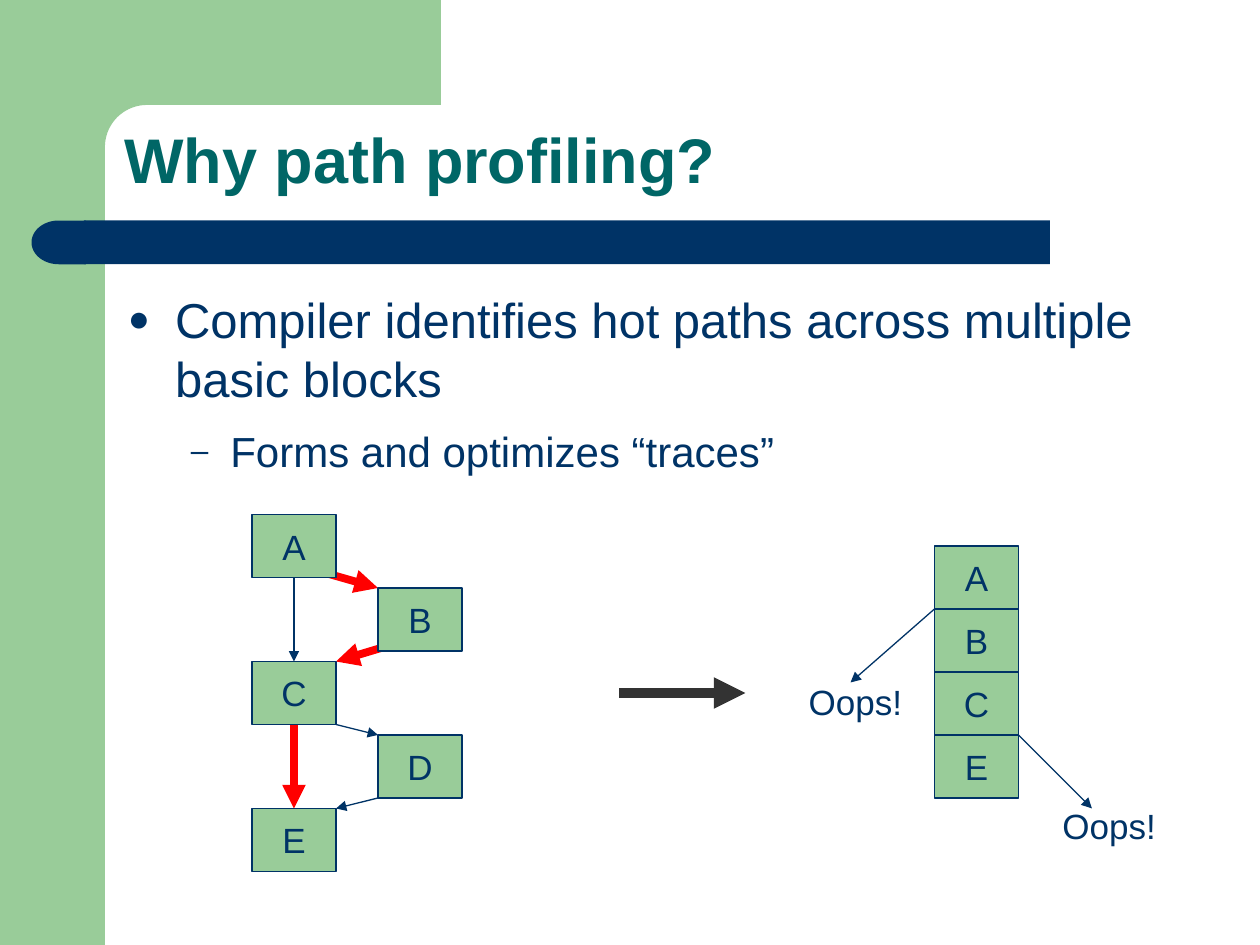
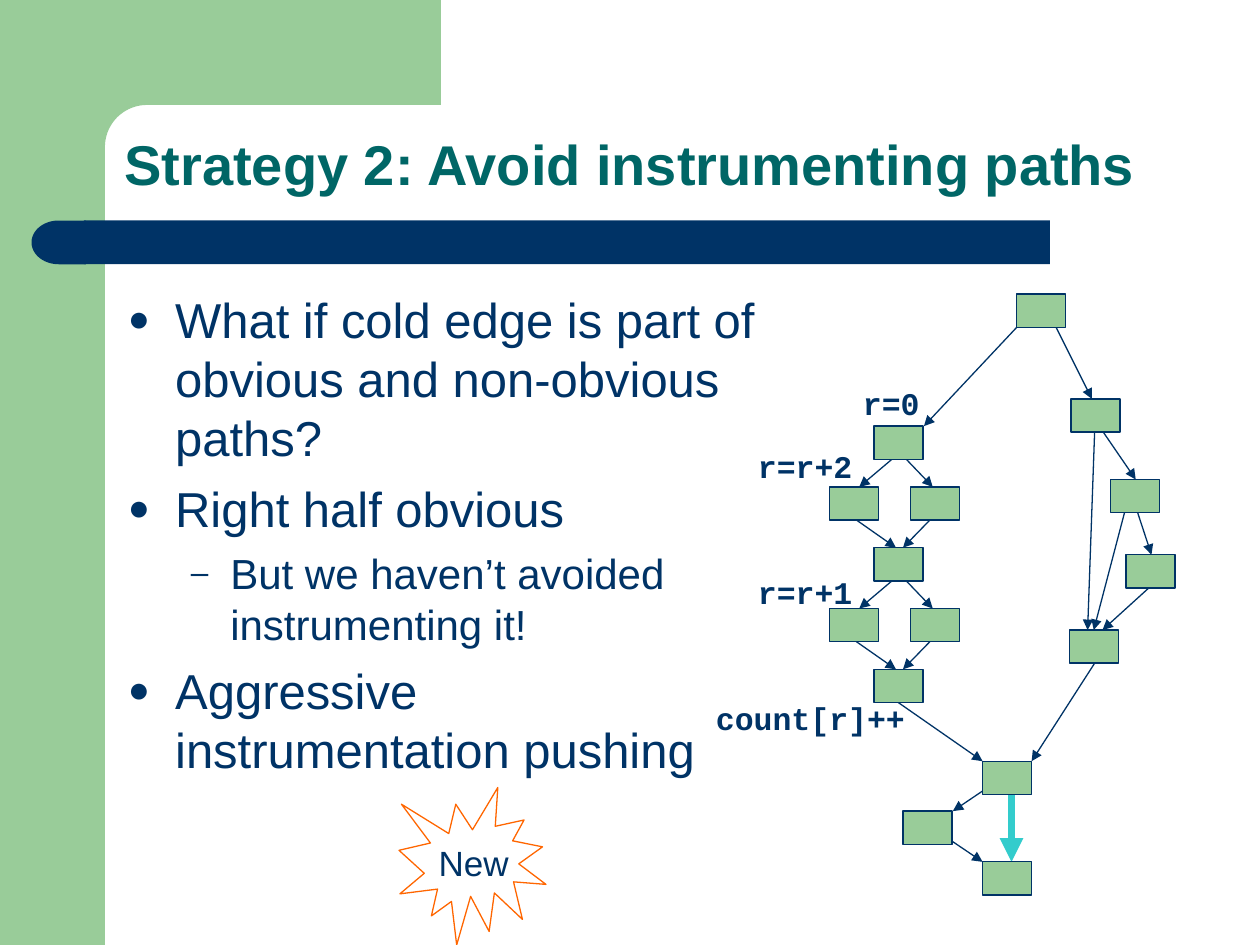
import math

from pptx import Presentation
from pptx.dml.color import RGBColor
from pptx.enum.shapes import MSO_CONNECTOR, MSO_SHAPE
from pptx.enum.text import MSO_ANCHOR, PP_ALIGN
from pptx.oxml.ns import qn
from pptx.util import Pt
from lxml import etree

RECT = MSO_SHAPE.RECTANGLE
CAP = MSO_SHAPE.FLOWCHART_DELAY
BURST = MSO_SHAPE.EXPLOSION1
STRAIGHT = MSO_CONNECTOR.STRAIGHT
TOP, MIDDLE, BOTTOM = MSO_ANCHOR.TOP, MSO_ANCHOR.MIDDLE, MSO_ANCHOR.BOTTOM
LEFT, CENTER = PP_ALIGN.LEFT, PP_ALIGN.CENTER

COLORS = {"green": "99CC99", "navy": "003366", "title": "006666", "hot": "FF0000",
          "dark": "333333", "teal": "33CCCC", "orange": "FF6600"}
SANS, MONO = "Arial", "Courier New"
# Per level: bullet, text size, left margin, hanging indent
LEVELS = [("●", 28, 27, 27), ("–", 24, 58.5, 22.5)]


def rgb(name):
    return RGBColor.from_string(COLORS[name])


class Deck:
    def __init__(self):
        self.prs = Presentation()
        self.prs.slide_width, self.prs.slide_height = Pt(720), Pt(540)
        self.slide = None

    def new_slide(self, title, size):
        self.slide = self.prs.slides.add_slide(self.prs.slide_layouts[6])
        # Green side band with a rounded inner corner
        self.shape(RECT, 0, 0, 60, 540, "green")
        arc = [(84 - 24 * math.sin(a), 84 - 24 * math.cos(a))
               for a in (math.radians(d) for d in range(0, 91, 5))]
        corner = [(252, 60), *arc, (60, 92), (36, 92), (36, 0)]
        outline = self.slide.shapes.build_freeform(Pt(252), 0)
        outline.add_line_segments([(Pt(x), Pt(y)) for x, y in corner])
        self.paint(outline.convert_to_shape(), "green")
        # Navy rule with a round left end
        self.shape(RECT, 48, 126, 552, 25, "navy")
        self.shape(CAP, 18, 126, 31, 25, "navy").rotation = 180
        # Title
        frame = self.frame(64, 64, 616.5, 52.5, BOTTOM, wrap=True)
        frame.paragraphs[0].line_spacing = 0.9
        self.run(frame.paragraphs[0], title, size, "title", bold=True)

    def paint(self, shape, fill=None, line=None):
        shape.shadow.inherit = False
        if fill:
            shape.fill.solid()
            shape.fill.fore_color.rgb = rgb(fill)
        else:
            shape.fill.background()
        if line:
            shape.line.color.rgb = rgb(line)
            shape.line.width = Pt(0.75)
        else:
            shape.line.fill.background()
        return shape

    def shape(self, kind, x, y, width, height, fill=None, line=None):
        shape = self.slide.shapes.add_shape(kind, Pt(x), Pt(y), Pt(width), Pt(height))
        return self.paint(shape, fill, line)

    def run(self, paragraph, text, size, color="navy", font=SANS, bold=False):
        run = paragraph.add_run()
        run.text = text
        run.font.size, run.font.name, run.font.bold = Pt(size), font, bold
        run.font.color.rgb = rgb(color)

    def frame(self, x, y, width, height, anchor=TOP, wrap=False):
        frame = self.slide.shapes.add_textbox(Pt(x), Pt(y), Pt(width), Pt(height)).text_frame
        frame.word_wrap, frame.vertical_anchor = wrap, anchor
        return frame

    def label(self, text, x, y, width, size=20, font=SANS, bold=False):
        paragraph = self.frame(x, y, width, 30, wrap=True).paragraphs[0]
        paragraph.alignment = LEFT
        self.run(paragraph, text, size, font=font, bold=bold)

    def block(self, x, y, width, height, name=None):
        block = self.shape(RECT, x, y, width, height, "green", "navy")
        if name:
            frame = block.text_frame
            frame.word_wrap, frame.vertical_anchor = False, MIDDLE
            frame.paragraphs[0].alignment = CENTER
            self.run(frame.paragraphs[0], name, 20)

    def arrow(self, start, end, color="navy", width=0.75):
        arrow = self.slide.shapes.add_connector(STRAIGHT, *map(Pt, (*start, *end)))
        arrow.line.color.rgb = rgb(color)
        arrow.line.width = Pt(width)
        properties = arrow.element.spPr
        etree.SubElement(properties.find(qn("a:ln")), qn("a:tailEnd"), type="triangle")
        etree.SubElement(properties, qn("a:effectLst"))

    def bullets(self, width, height, items):
        """Items are (level, space before, text); a newline breaks the line."""
        frame = self.frame(66, 162, width, height, wrap=True)
        for index, (level, before, text) in enumerate(items):
            paragraph = frame.add_paragraph() if index else frame.paragraphs[0]
            mark, size, margin, hang = LEVELS[level]
            props = paragraph._p.get_or_add_pPr()
            props.set("marL", str(Pt(margin)))
            props.set("indent", str(-Pt(hang)))
            color = etree.SubElement(props, qn("a:buClr"))
            etree.SubElement(color, qn("a:srgbClr"), val=COLORS["navy"])
            etree.SubElement(props, qn("a:buSzPct"), val="75000")
            etree.SubElement(props, qn("a:buFont"), typeface=SANS)
            etree.SubElement(props, qn("a:buChar"), char=mark)
            paragraph.level = level
            paragraph.space_before = Pt(before)
            for number, line in enumerate(text.split("\n")):
                if number:
                    paragraph.add_line_break()
                self.run(paragraph, line, size)


def why_path_profiling(deck):
    deck.new_slide("Why path profiling?", 36)
    deck.bullets(605.5, 120, [
        (0, 0, "Compiler identifies hot paths across multiple basic blocks"),
        (1, 10.5, "Forms and optimizes “traces”")])

    # Control flow graph: hot edges in red, blocks on top of them
    for start, end in [((174, 324), (216, 336)), ((252, 360), (192, 378)),
                       ((168, 414), (168, 462))]:
        deck.arrow(start, end, "hot", 4.5)
    for row, name in enumerate("ABCDE"):
        deck.block(144 + 72 * (row % 2), 294 + 42 * row, 48, 36, name)
    for start, end in [((168, 330), (168, 378)), ((192, 414), (216, 420)),
                       ((216, 456), (192, 462))]:
        deck.arrow(start, end)

    # Resulting trace and its side exits
    deck.arrow((354, 396), (426, 396), "dark", 6)
    for row, name in enumerate("ABCE"):
        deck.block(534, 312 + 36 * row, 48, 36, name)
    deck.arrow((534, 348), (486, 390))
    deck.arrow((582, 420), (624, 462))
    deck.label("Oops!", 455, 385.5, 74)
    deck.label("Oops!", 600, 456, 74)


def avoid_instrumenting(deck):
    deck.new_slide("Strategy 2: Avoid instrumenting paths", 32)
    deck.bullets(384, 342, [
        (0, 0, "What if cold edge is part of obvious and non-obvious paths?"),
        (0, 7, "Right half obvious"),
        (1, 6, "But we haven’t avoided instrumenting it!"),
        (0, 7, "Aggressive\ninstrumentation pushing")])

    # Left half: two stacked diamonds
    first, step = 243.5, 69.5
    edges, blocks = [], [(499.5, first)]
    for top in (first, first + step):
        edges += [((512, top + 17), (491, top + step / 2)),
                  ((516, top + 17), (533, top + step / 2)),
                  ((487, top + 52), (512, top + step)),
                  ((533, top + 52), (516, top + step))]
        blocks += [(474, top + step / 2), (520.5, top + step / 2), (499.5, top + step)]

    # Entry, right half and exit
    blocks += [(581, 168), (612, 228), (634.5, 274), (643.5, 317), (611, 360),
               (561.5, 435), (516, 463.5), (561.5, 492.5)]
    edges += [((582, 186), (528, 243.5)), ((600, 180), (624, 228)),
              ((630.5, 247), (649, 274)), ((625.5, 247), (621.5, 360)),
              ((646.5, 282), (658, 317)), ((646.5, 278), (625, 360)),
              ((667.5, 326), (630, 360)), ((630, 372), (589.5, 435)),
              ((510.5, 399.5), (561.5, 435)), ((561.5, 452), (544.5, 463.5)),
              ((544.5, 481), (561.5, 492.5))]
    for start, end in edges:
        deck.arrow(start, end)
    deck.arrow((578, 452), (578, 492.5), "teal", 4.5)
    for x, y in blocks:
        deck.block(x, y, 28, 19)

    # Instrumentation code
    for code, x, y, width in [("r=0", 486, 216, 54), ("r=r+2", 426, 252, 76),
                              ("r=r+1", 426, 324, 76), ("count[r]++", 402, 396, 130)]:
        deck.label(code, x, y, width, 18, MONO, True)

    # Burst
    deck.shape(BURST, 228, 450, 84, 90, line="orange")
    deck.label("New", 243.5, 477.5, 62)


def main():
    deck = Deck()
    why_path_profiling(deck)
    avoid_instrumenting(deck)
    deck.prs.save("out.pptx")


if __name__ == "__main__":
    main()
